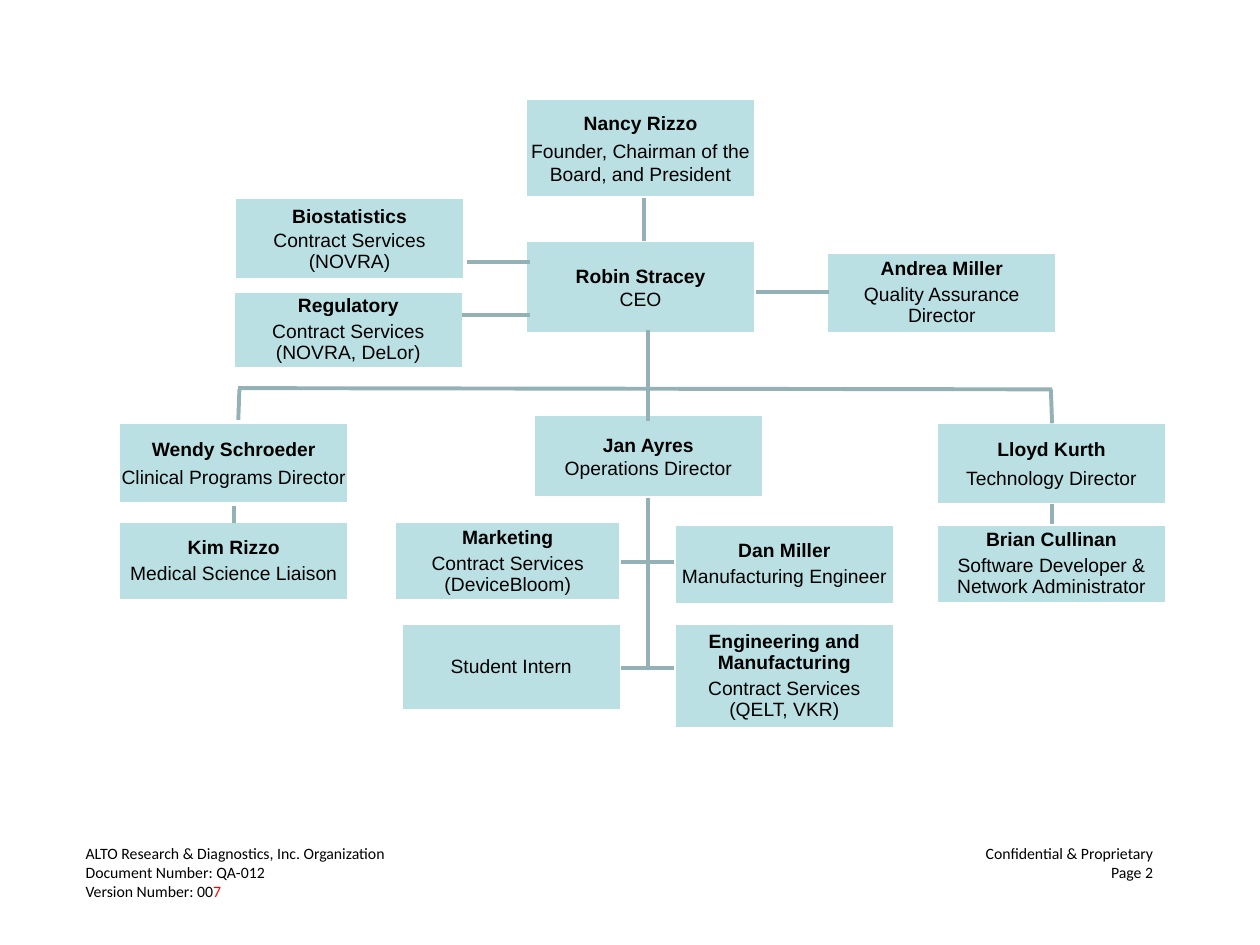
from lxml.etree import SubElement
from pptx import Presentation
from pptx.dml.color import RGBColor
from pptx.enum.shapes import MSO_CONNECTOR as Connector, MSO_SHAPE as Shape
from pptx.enum.text import MSO_ANCHOR as Anchor, PP_ALIGN as Align
from pptx.oxml.ns import qn
from pptx.util import Pt

TEAL = RGBColor(0xBB, 0xE0, 0xE3)
GREY = RGBColor(0x94, 0xB2, 0xB5)
WHITE = RGBColor(255, 255, 255)
BLACK = RGBColor(0, 0, 0)
RED = RGBColor(255, 0, 0)

WIDE, NARROW = 131.8, 126
LEFT, MIDDLE, RIGHT = 67.7, 300.2, 535
ENGINEERING = 385.2

# (left, top, width, height), then paragraphs: (text, bold, line spacing, space after)
BOXES = [
    ((MIDDLE, 137.5, WIDE, 53.3),
     [("Robin Stracey", True, 1, 0), ("CEO", False, 1, 0)]),
    ((304.6, 236.9, WIDE, 47.5),
     [("Jan Ayres", True, 1, 0), ("Operations Director", False, 1, 0)]),
    ((225.4, 298.1, 129.6, 45.4),
     [("Marketing", True, 0.9, 3), ("Contract Services", False, 0.9, 0),
      ("(DeviceBloom)", False, 0.9, 4.8)]),
    ((LEFT, 298.1, WIDE, 45.4),
     [("Kim Rizzo", True, 0.9, 3), ("Medical Science Liaison", False, 0.9, 4.8)]),
    ((RIGHT, 241.2, WIDE, 47.2),
     [("Lloyd Kurth", True, 1, 3), ("Technology Director", False, 1, 3)]),
    ((RIGHT, 299.5, WIDE, 45.4),
     [("Brian Cullinan", True, 0.9, 3),
      ("Software Developer & Network Administrator", False, 0.9, 3)]),
    ((MIDDLE, 56.2, WIDE, 56.9),
     [("Nancy Rizzo", True, 1, 3),
      ("Founder, Chairman of the Board, and President", False, 1, 0)]),
    ((ENGINEERING, 356.4, NARROW, 59.8),
     [("Engineering and Manufacturing", True, 0.9, 3),
      ("Contract Services", False, 0.9, 0), ("(QELT, VKR)", False, 0.9, 4.8)]),
    ((133.2, 166.3, WIDE, 44.6),
     [("Regulatory", True, 0.9, 3),
      ("Contract Services (NOVRA, DeLor)", False, 0.9, 4.8)]),
    ((472.3, 144, WIDE, 46.8),
     [("Andrea Miller", True, 0.9, 3),
      ("Quality Assurance Director", False, 0.9, 3)]),
    ((ENGINEERING, 299.5, NARROW, 46.1),
     [("Dan Miller", True, 0.9, 3), ("Manufacturing Engineer", False, 0.9, 0)]),
    ((229, 356.4, 126.4, 49.7), [("Student Intern", False, 0.9, 3)]),
]

# Boxes whose white edge trims the connector that meets them
FRONT_BOXES = [
    ((133.9, 113, WIDE, 46.8),
     [("Biostatistics", True, 1, 2), ("Contract Services", False, 0.9, 0),
      ("(NOVRA)", False, 0.9, 0)]),
    ((LEFT, 241.2, WIDE, 46.8),
     [("Wendy Schroeder", True, 1, 3), ("Clinical Programs Director", False, 1, 0)]),
]

# Start x, y and end x, y
LINES = [
    (136.8, 222.5, 136.1, 241.9),
    (367.9, 113, 367.9, 137.5),
    (370.1, 188.6, 370.1, 240.5),
    (601.2, 222.5, 136.1, 221.8),
    (601.2, 288, 601.2, 299.5),
    (303.1, 180, 264.2, 180),
    (303.1, 149.8, 265.7, 149.8),
    (133.9, 288, 133.9, 298.8),
    (600.5, 222.5, 601.2, 241.9),
    (370.1, 284.4, 370.1, 381.6),
    (355, 321.1, 385.2, 321.1),
    (385.2, 381.6, 355, 381.6),
    (473.8, 167, 432, 167),
]

FOOTER = [
    [("ALTO Research & Diagnostics, Inc. Organization\tConfidential & Proprietary", BLACK)],
    [("Document Number: QA-012\tPage 2", BLACK)],
    [("Version Number: 00", BLACK), ("7", RED)],
]
FOOTER_TAB = 610


def add_span(para, text, size=11, font="Arial", color=BLACK, bold=False):
    span = para.add_run()
    span.text = text
    span.font.size = Pt(size)
    span.font.name = font
    span.font.color.rgb = color
    span.font.bold = bold


def paragraphs(frame, count):
    return [frame.paragraphs[0]] + [frame.add_paragraph() for _ in range(count - 1)]


def add_box(page, place, content):
    box = page.shapes.add_shape(Shape.RECTANGLE, *map(Pt, place))
    box.shadow.inherit = False
    box.fill.solid()
    box.fill.fore_color.rgb = TEAL
    box.line.color.rgb = WHITE
    box.line.width = Pt(2)
    frame = box.text_frame
    frame.word_wrap = True
    frame.vertical_anchor = Anchor.MIDDLE
    frame.margin_left = frame.margin_right = Pt(0.7)
    frame.margin_top = frame.margin_bottom = Pt(0.7)
    for para, (text, bold, spacing, after) in zip(paragraphs(frame, len(content)), content):
        para.alignment = Align.CENTER
        para.line_spacing = spacing
        para.space_after = Pt(after)
        add_span(para, text, bold=bold)


def add_line(page, ends):
    line = page.shapes.add_connector(Connector.STRAIGHT, *map(Pt, ends))
    line.line.color.rgb = GREY
    line.line.width = Pt(2.25)
    SubElement(line._element.spPr, qn("a:effectLst"))


def add_footer(page):
    box = page.shapes.add_textbox(Pt(41.8), Pt(478.8), Pt(642.2), Pt(59.8))
    frame = box.text_frame
    frame.word_wrap = True
    for para, spans in zip(paragraphs(frame, len(FOOTER)), FOOTER):
        tabs = SubElement(para._p.get_or_add_pPr(), qn("a:tabLst"))
        SubElement(tabs, qn("a:tab"), pos=str(Pt(FOOTER_TAB)), algn="r")
        for text, color in spans:
            add_span(para, text, size=9, font="Calibri", color=color)


def main():
    deck = Presentation()
    deck.slide_width, deck.slide_height = Pt(720), Pt(540)
    page = deck.slides.add_slide(deck.slide_layouts[6])
    for place, content in BOXES:
        add_box(page, place, content)
    for ends in LINES:
        add_line(page, ends)
    for place, content in FRONT_BOXES:
        add_box(page, place, content)
    add_footer(page)
    deck.save("out.pptx")


if __name__ == "__main__":
    main()
